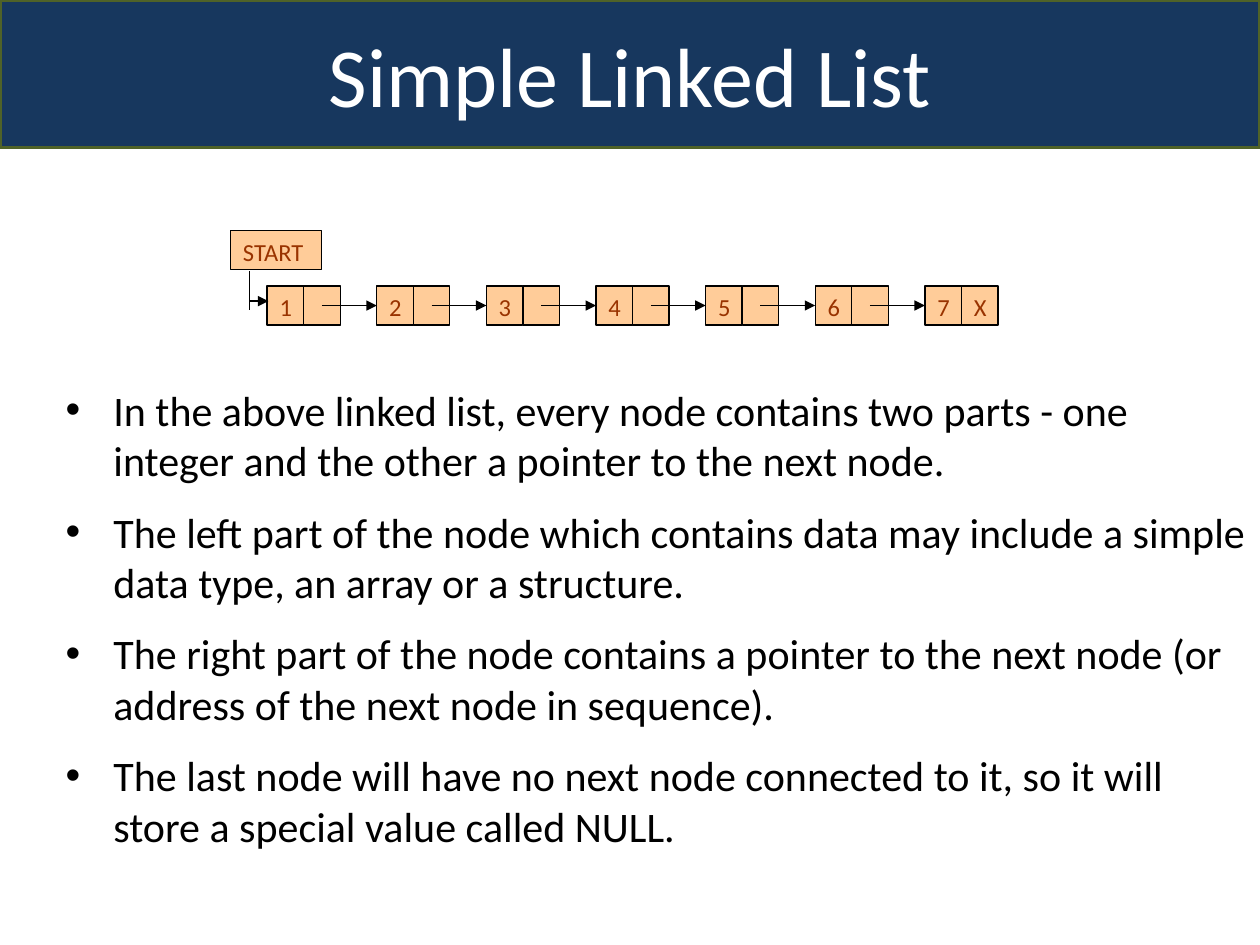
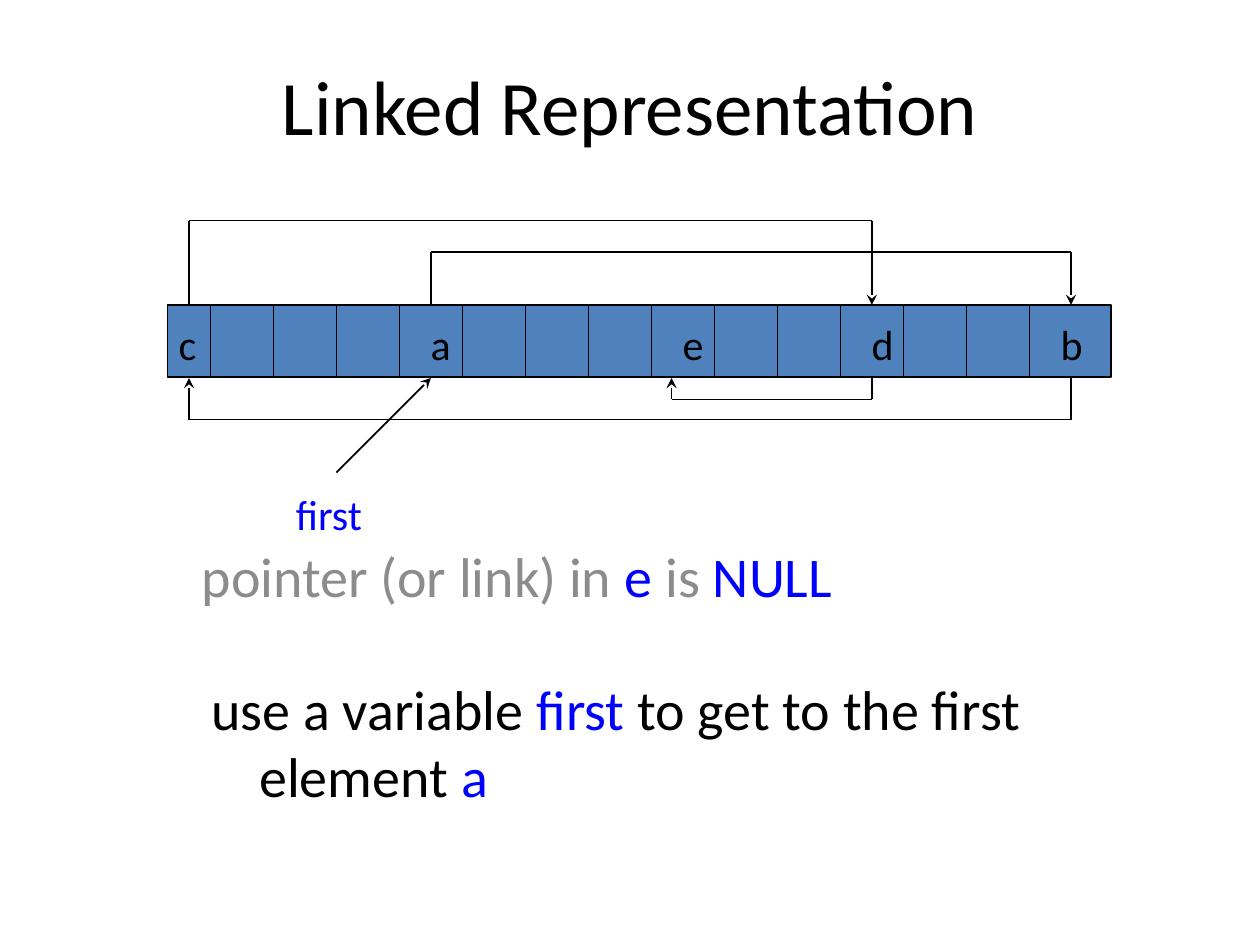
from itertools import pairwise

from lxml import etree
from pptx import Presentation
from pptx.dml.color import RGBColor
from pptx.enum.shapes import MSO_CONNECTOR, MSO_SHAPE
from pptx.enum.text import MSO_ANCHOR, MSO_AUTO_SIZE, PP_ALIGN
from pptx.oxml.ns import qn
from pptx.util import Inches, Pt

STRAIGHT, RECTANGLE = MSO_CONNECTOR.STRAIGHT, MSO_SHAPE.RECTANGLE
TOP, MIDDLE = MSO_ANCHOR.TOP, MSO_ANCHOR.MIDDLE
LEFT, CENTER = PP_ALIGN.LEFT, PP_ALIGN.CENTER
LEFT_SIDE = 1

BLACK = RGBColor(0x00, 0x00, 0x00)
WHITE = RGBColor(0xFF, 0xFF, 0xFF)
NAVY = RGBColor(0x17, 0x37, 0x5E)
OLIVE = RGBColor(0x4F, 0x62, 0x28)
PEACH = RGBColor(0xFF, 0xCC, 0x99)
RUST = RGBColor(0x99, 0x33, 0x00)
STEEL = RGBColor(0x4F, 0x81, 0xBD)
BLUE = RGBColor(0x00, 0x00, 0xFF)
GRAY = RGBColor(0x8C, 0x8C, 0x8C)
FONT = "Calibri"

# Simple Linked List
LIST_TITLE = "Simple Linked List"
NODES = [("1", ""), ("2", ""), ("3", ""), ("4", ""), ("5", ""), ("6", ""), ("7", "X")]
LIST_POINTS = [
    "In the above linked list, every node contains two parts - one integer "
    "and the other a pointer to the next node.",
    "The left part of the node which contains data may include a simple "
    "data type, an array or a structure.",
    "The right part of the node contains a pointer to the next node "
    "(or address of the next node in sequence).",
    "The last node will have no next node connected to it, so it will store "
    "a special value called NULL.",
]
NODE_LEFT, NODE_TOP, NODE_PITCH = 2.12, 2.27, 0.87
PART_WIDTH, PART_HEIGHT = 0.29, 0.31
NODE_LINE = 0.75

# Linked Representation
MEMORY_TITLE = "Linked Representation"
NULL_NOTE = [("pointer (or link) in ", GRAY), ("e", BLUE), (" is ", GRAY), ("NULL", BLUE)]
FIRST_NOTE = [("use a variable ", BLACK), ("first ", BLUE),
              ("to get to the first element ", BLACK), ("a", BLUE)]
ELEMENT_SLOTS = {"c": 0, "a": 4, "e": 8, "d": 11, "b": 14}
SLOT_WIDTH = 0.5
DIVIDERS = 14
MEMORY_TOP, MEMORY_BOTTOM = 2.42, 3
POINTER_ROUTES = [
    [(3.42, MEMORY_TOP), (3.42, 2), (8.5, 2), (8.5, MEMORY_TOP)],
    [(8.5, MEMORY_BOTTOM), (8.5, 3.33), (1.5, 3.33), (1.5, MEMORY_BOTTOM)],
    [(1.5, MEMORY_TOP), (1.5, 1.75), (6.92, 1.75), (6.92, MEMORY_TOP)],
    [(6.92, MEMORY_BOTTOM), (6.92, 3.17), (5.33, 3.17), (5.33, MEMORY_BOTTOM)],
    [(2.67, 3.75), (3.42, MEMORY_BOTTOM)],
]


def place(shape, left, top, width, height):
    box = {"left": left, "top": top, "width": width, "height": height}
    for side, inches in box.items():
        setattr(shape, side, Inches(inches))


def paint(shape, fill, line, line_width):
    shape.fill.solid()
    shape.fill.fore_color.rgb = fill
    shape.line.color.rgb = line
    shape.line.width = Pt(line_width)


def write(shape, paragraphs, size, align=LEFT, anchor=TOP, wrap=True, hanging=False):
    """Fill a shape with paragraphs, each a list of (text, colour) runs."""
    frame = shape.text_frame
    frame_format = {"auto_size": MSO_AUTO_SIZE.NONE, "word_wrap": wrap,
                    "vertical_anchor": anchor}
    for name, value in frame_format.items():
        setattr(frame, name, value)
    for index, runs in enumerate(paragraphs):
        paragraph = frame.add_paragraph() if index else frame.paragraphs[0]
        paragraph.alignment = align
        if index:
            paragraph.space_before = Pt(size / 2)
        if hanging:
            indent = Inches(0.38)
            properties = paragraph._p.get_or_add_pPr()
            properties.set("marL", str(indent))
            properties.set("indent", str(-indent))
        for text, color in runs:
            run = paragraph.add_run()
            run.text = text
            run.font.name = FONT
            run.font.size = Pt(size)
            run.font.color.rgb = color


def add_text(slide, box, runs, size, **text_format):
    text_box = slide.shapes.add_textbox(*map(Inches, box))
    write(text_box, [runs], size, **text_format)


def add_box(slide, box, fill, line_width, label=""):
    rectangle = slide.shapes.add_shape(RECTANGLE, *map(Inches, box))
    rectangle.shadow.inherit = False
    paint(rectangle, fill, BLACK, line_width)
    if label:
        write(rectangle, [[(label, RUST)]], 14)
    return rectangle


def add_line(slide, start, end, width, arrowhead=None):
    line = slide.shapes.add_connector(STRAIGHT, *map(Inches, (*start, *end)))
    line.line.color.rgb = BLACK
    line.line.width = Pt(width)
    if arrowhead:
        etree.SubElement(line.line._get_or_add_ln(), qn("a:tailEnd"), type=arrowhead)
    etree.SubElement(line._element.spPr, qn("a:effectLst"))
    return line


def add_route(slide, points):
    """Join points by segments, the last one ending in an arrowhead."""
    segments = list(pairwise(points))
    for start, end in segments[:-1]:
        add_line(slide, start, end, 1)
    add_line(slide, *segments[-1], 1, "stealth")


def draw_nodes(slide):
    lefts = [NODE_LEFT + NODE_PITCH * index for index in range(len(NODES))]
    data_parts = []
    for left, (data, pointer) in zip(lefts, NODES):
        data_part, _ = [
            add_box(slide, (left + PART_WIDTH * part, NODE_TOP, PART_WIDTH, PART_HEIGHT),
                    PEACH, NODE_LINE, label)
            for part, label in enumerate((data, pointer))
        ]
        data_parts.append(data_part)

    middle = NODE_TOP + PART_HEIGHT / 2
    for left, next_left, next_part in zip(lefts, lefts[1:], data_parts[1:]):
        link = add_line(slide, (left + 1.5 * PART_WIDTH, middle), (next_left, middle),
                        NODE_LINE, "triangle")
        link.end_connect(next_part, LEFT_SIDE)

    add_box(slide, (1.83, 1.83, 0.72, PART_HEIGHT), PEACH, NODE_LINE, "START")
    add_line(slide, (1.98, 2.15), (1.98, 2.46), NODE_LINE)
    add_line(slide, (1.98, 2.39), (2.13, 2.39), NODE_LINE, "triangle")


def build_linked_list(presentation):
    slide = presentation.slides.add_slide(presentation.slide_layouts[1])
    title, points = slide.placeholders
    place(title, 0, 0, 10, 1.17)
    paint(title, NAVY, OLIVE, 2)
    write(title, [[(LIST_TITLE, WHITE)]], 48, CENTER, MIDDLE)
    place(points, 0.42, 3, 9.58, 3.89)
    write(points, [[(point, BLACK)] for point in LIST_POINTS], 24, hanging=True)
    draw_nodes(slide)


def build_representation(presentation):
    slide = presentation.slides.add_slide(presentation.slide_layouts[0])
    title, null_note = slide.placeholders
    place(title, 0.75, 0.33, 8.5, 1)
    write(title, [[(MEMORY_TITLE, BLACK)]], 44, CENTER, MIDDLE)
    place(null_note, 1.5, 4.25, 7, 1.92)
    write(null_note, [NULL_NOTE], 32, hanging=True)

    add_box(slide, (1.33, MEMORY_TOP, 7.49, 0.57), STEEL, 1)
    for index in range(DIVIDERS):
        x = 1.67 + SLOT_WIDTH * index
        add_line(slide, (x, MEMORY_TOP), (x, MEMORY_BOTTOM), 1)
    for element, slot in ELEMENT_SLOTS.items():
        add_text(slide, (1.32 + SLOT_WIDTH * slot, 2.48, 0.36, 0.5),
                 [(element, BLACK)], 24, wrap=False)
    for route in POINTER_ROUTES:
        add_route(slide, route)

    add_text(slide, (2.25, 3.83, 1.83, 0.5), [("first", BLUE)], 24)
    add_text(slide, (1.58, 5.3, 7, 1.29), FIRST_NOTE, 32, hanging=True)


def main():
    presentation = Presentation()
    presentation.slide_width, presentation.slide_height = Inches(10), Inches(7.5)
    build_linked_list(presentation)
    build_representation(presentation)
    presentation.save("out.pptx")


if __name__ == "__main__":
    main()
